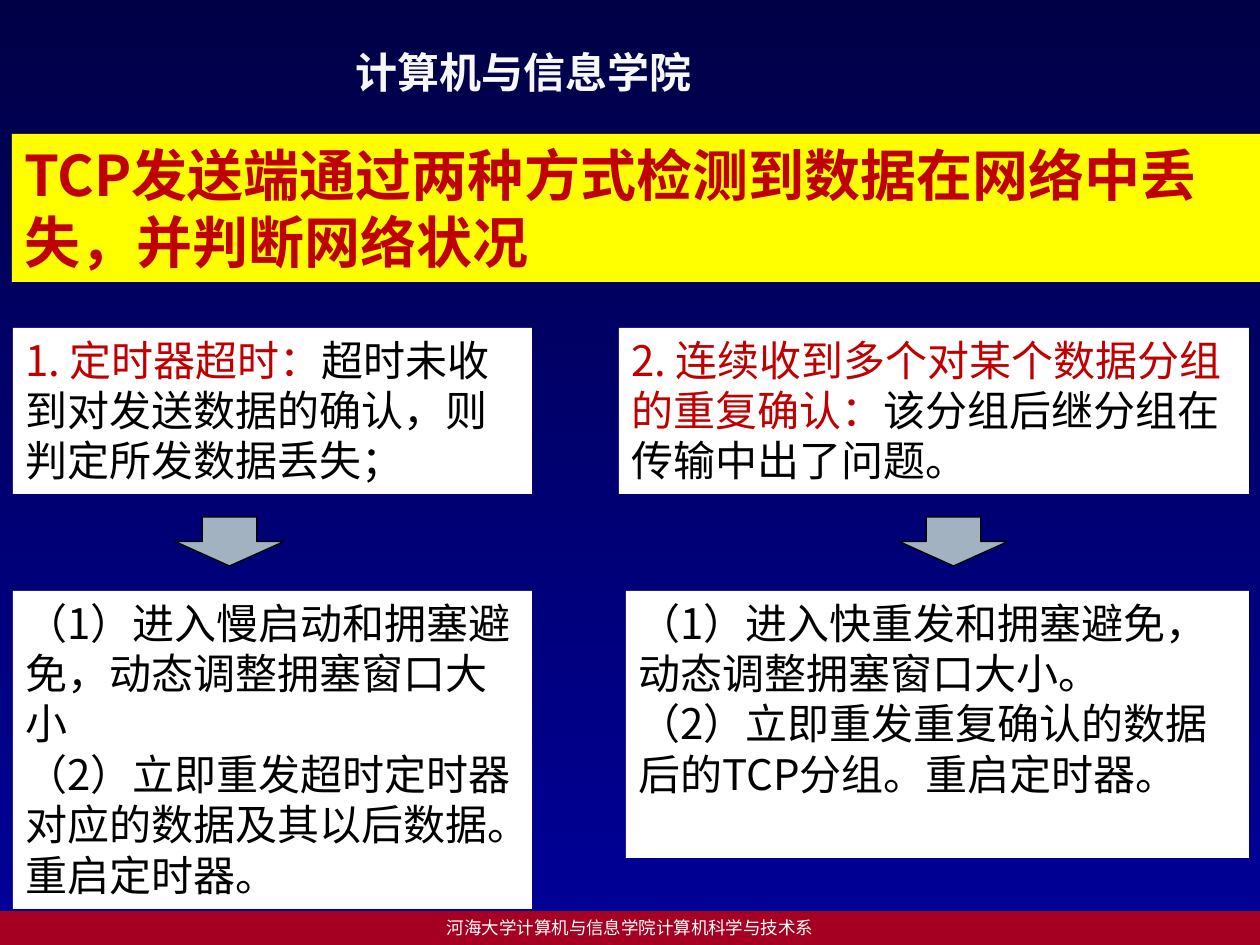
from lxml import etree
from pptx import Presentation
from pptx import util as u
from pptx.dml.color import RGBColor
from pptx.enum import shapes, text
from pptx.oxml.ns import qn

SCALE = u.Inches(1) / 126
CJK = "Noto Sans CJK SC"
RED, BLACK, WHITE = "C00000", "000000", "FFFFFF"


def emu(*sizes):
    return [round(size * SCALE) for size in sizes]


def rgb(code):
    return RGBColor.from_string(code)


class Deck:
    """Holds the text style and the current slide, and draws on it."""

    style = {"size": u.Pt(24), "name": CJK, "bold": False}

    def __init__(self, wide, high):
        self.prs = Presentation()
        self.prs.slide_width, self.prs.slide_height = emu(wide, high)
        self.slide = self.prs.slides.add_slide(self.prs.slide_layouts[6])

    def back(self, top, base):
        fill = self.slide.background.fill
        fill.gradient()
        fill.gradient_angle = 270
        for stop, code, place in zip(fill.gradient_stops, (top, base), (0, 1)):
            stop.color.rgb = rgb(code)
            stop.position = place

    def words(self, shape, paras, align=text.PP_ALIGN.LEFT, lead=1.2, **look):
        style = {**self.style, **look}
        frame = shape.text_frame
        form = {"word_wrap": True, "vertical_anchor": text.MSO_ANCHOR.TOP}
        for key, value in form.items():
            setattr(frame, key, value)
        for i, runs in enumerate(paras):
            para = frame.add_paragraph() if i else frame.paragraphs[0]
            para.alignment = align
            para.line_spacing = u.Pt(round(style["size"].pt * lead, 1))
            for line, code in runs:
                run = para.add_run()
                run.text = line
                for key, value in style.items():
                    setattr(run.font, key, value)
                run.font.color.rgb = rgb(code)
                props = run._r.get_or_add_rPr()
                etree.SubElement(props, qn("a:ea"), typeface=CJK)

    def shape(self, kind, area, fill, line=None):
        shape = self.slide.shapes.add_shape(kind, *emu(*area))
        shape.shadow.inherit = False
        shape.fill.solid()
        shape.fill.fore_color.rgb = rgb(fill)
        if line:
            shape.line.color.rgb = rgb(line)
            shape.line.width = u.Pt(0.75)
        else:
            shape.line.fill.background()
        return shape

    def panel(self, area, fill, paras, **look):
        shape = self.shape(shapes.MSO_SHAPE.RECTANGLE, area, fill)
        self.words(shape, paras, **look)

    def label(self, area, paras, **look):
        self.words(self.slide.shapes.add_textbox(*emu(*area)), paras, **look)

    def arrow(self, area):
        self.shape(shapes.MSO_SHAPE.DOWN_ARROW, area, "A3B2C1", BLACK)


def main():
    deck = Deck(1260, 945)
    deck.back("000047", "000099")
    deck.panel((0, 911, 1260, 34), "A50021",
               [[("河海大学计算机与信息学院计算机科学与技术系", WHITE)]],
               align=text.PP_ALIGN.CENTER, size=u.Pt(10),
               name="Times New Roman")
    deck.label((343, 35, 387, 63), [[("计算机与信息学院", "F7F7F7")]],
               lead=1.33, name="DejaVu Sans", bold=True)
    deck.panel((12, 134, 1248, 148), "FFFF00",
               [[("TCP发送端通过两种方式检测到数据在网络中丢失，并判断网络状况", RED)]],
               size=u.Pt(32), bold=True)

    columns = [
        ((13, 328, 519, 166), "1. 定时器超时：",
         "超时未收到对发送数据的确认，则判定所发数据丢失；",
         175, (13, 591, 519, 318),
         ["（1）进入慢启动和拥塞避免，动态调整拥塞窗口大小",
          "（2）立即重发超时定时器对应的数据及其以后数据。重启定时器。"]),
        ((619, 328, 630, 166), "2. 连续收到多个对某个数据分组的重复确认：",
         "该分组后继分组在传输中出了问题。",
         899, (626, 591, 623, 267),
         ["（1）进入快重发和拥塞避免，动态调整拥塞窗口大小。",
          "（2）立即重发重复确认的数据后的TCP分组。重启定时器。"]),
    ]
    for cause, head, body, left, effect, steps in columns:
        deck.panel(cause, WHITE, [[(head, RED), (body, BLACK)]])
        deck.arrow((left, 517, 109, 49))
        deck.panel(effect, WHITE, [[(step, BLACK)] for step in steps])
    deck.prs.save("out.pptx")


if __name__ == "__main__":
    main()
